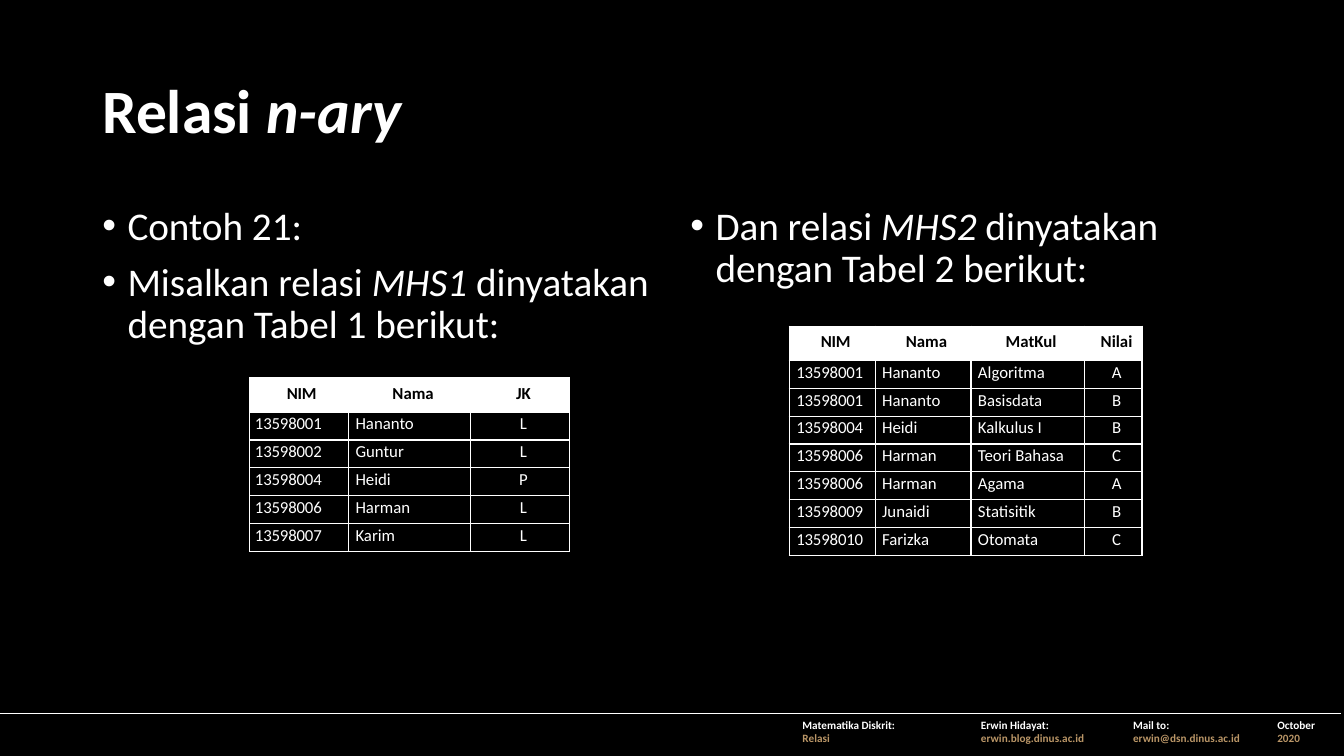
import pptx
import pptx.dml.color
import pptx.enum.text
import pptx.oxml
import pptx.oxml.ns
import pptx.util

Pt = pptx.util.Pt
CENTER = pptx.enum.text.PP_ALIGN.CENTER
MIDDLE = pptx.enum.text.MSO_ANCHOR.MIDDLE
COLORS = {"black": "000000", "white": "FFFFFF", "gold": "BA9667"}


def add_run(paragraph, text, size, color, bold=False, italic=False):
    run = paragraph.add_run()
    run.text = text
    run.font.name = "Calibri"
    run.font.size = Pt(size)
    run.font.bold = bold
    run.font.italic = italic
    run.font.color.rgb = pptx.dml.color.RGBColor.from_string(COLORS[color])
    return run


def add_grid(left, top, widths, heights, edges):
    """Add an unfilled table with white 1 pt lines on the given cell edges."""
    grid = slide.shapes.add_table(len(heights), len(widths), Pt(left), Pt(top),
                                  Pt(sum(widths)), Pt(sum(heights))).table
    grid.first_row = grid.horz_banding = False
    for column, width in zip(grid.columns, widths):
        column.width = Pt(width)
    for row, height in zip(grid.rows, heights):
        row.height = Pt(height)
    for cell in grid.iter_cells():
        properties = cell._tc.get_or_add_tcPr()
        for edge in "LRTB":
            paint = (f'<a:solidFill><a:srgbClr val="{COLORS["white"]}"/></a:solidFill>'
                     if edge in edges else "<a:noFill/>")
            properties.append(pptx.oxml.parse_xml(
                f'<a:ln{edge} {pptx.oxml.ns.nsdecls("a")} w="12700">{paint}</a:ln{edge}>'))
        cell.fill.background()
    return grid


deck = pptx.Presentation()
deck.slide_width, deck.slide_height = Pt(960), Pt(540)
slide = deck.slides.add_slide(deck.slide_layouts[6])
slide.background.fill.solid()
slide.background.fill.fore_color.rgb = pptx.dml.color.RGBColor.from_string(COLORS["black"])

# Footer
credits = [
    ("Matematika Diskrit:", "Relasi"),
    ("Erwin Hidayat:", "erwin.blog.dinus.ac.id"),
    ("Mail to:", "erwin@dsn.dinus.ac.id"),
    ("October", "2020"),
]
footer = add_grid(0, 509.5, [566, 127.5, 108.7, 103, 52.8], [29.5], "T")
footer.cell(0, 0).text_frame.paragraphs[0].font.size = Pt(8)
for column, (label, detail) in enumerate(credits, start=1):
    frame = footer.cell(0, column).text_frame
    add_run(frame.paragraphs[0], label, 8, "white", bold=True)
    add_run(frame.add_paragraph(), detail, 8, "gold", bold=True)

# Title
title = slide.shapes.add_textbox(Pt(66), Pt(28.75), Pt(828), Pt(104.4)).text_frame
title.word_wrap = True
title.vertical_anchor = MIDDLE
title.paragraphs[0].line_spacing = 0.9
add_run(title.paragraphs[0], "Relasi ", 44, "white", bold=True)
add_run(title.paragraphs[0], "n-ary", 44, "white", bold=True, italic=True)

# Bulleted columns: each bullet is a list of (text, italic) runs
columns = [
    (66, [[("Contoh 21:", False)],
          [("Misalkan relasi ", False), ("MHS1 ", True),
           ("dinyatakan dengan Tabel 1 berikut:", False)]]),
    (486, [[("Dan relasi ", False), ("MHS2 ", True),
            ("dinyatakan dengan Tabel 2 berikut:", False)]]),
]
for left, bullets in columns:
    body = slide.shapes.add_textbox(Pt(left), Pt(143.75), Pt(408), Pt(342.6)).text_frame
    body.word_wrap = True
    for index, runs in enumerate(bullets):
        bullet = body.add_paragraph() if index else body.paragraphs[0]
        properties = bullet._p.get_or_add_pPr()
        properties.set("marL", str(Pt(18)))
        properties.set("indent", str(-Pt(18)))
        for tag in ('buFont {} typeface="Arial"', 'buChar {} char="•"'):
            properties.append(pptx.oxml.parse_xml(
                "<a:" + tag.format(pptx.oxml.ns.nsdecls("a")) + "/>"))
        bullet.line_spacing = 0.9
        bullet.space_before = Pt(10 if index else 0)
        for text, italic in runs:
            add_run(bullet, text, 28, "white", italic=italic)

# Relations: left, top, column widths, indent of first column, rows
relations = [
    (563.8, 233.1, [61.3, 68.5, 80.9, 41.3], 5, [
        ("NIM", "Nama", "MatKul", "Nilai"),
        ("13598001", "Hananto", "Algoritma", "A"),
        ("13598001", "Hananto", "Basisdata", "B"),
        ("13598004", "Heidi", "Kalkulus I", "B"),
        ("13598006", "Harman", "Teori Bahasa", "C"),
        ("13598006", "Harman", "Agama", "A"),
        ("13598009", "Junaidi", "Statisitik", "B"),
        ("13598010", "Farizka", "Otomata", "C"),
    ]),
    (178.5, 270, [70.5, 87.2, 70.5], 3.6, [
        ("NIM", "Nama", "JK"),
        ("13598001", "Hananto", "L"),
        ("13598002", "Guntur", "L"),
        ("13598004", "Heidi", "P"),
        ("13598006", "Harman", "L"),
        ("13598007", "Karim", "L"),
    ]),
]
for left, top, widths, first_indent, records in relations:
    heights = [24.4] + [19.9] * (len(records) - 1)
    relation = add_grid(left, top, widths, heights, "LRTB")
    for row, record in enumerate(records):
        header = row == 0
        for column, text in enumerate(record):
            cell = relation.cell(row, column)
            cell.margin_left = cell.margin_right = cell.margin_top = cell.margin_bottom = 0
            cell.vertical_anchor = MIDDLE
            if header:
                cell.fill.solid()
                cell.fill.fore_color.rgb = pptx.dml.color.RGBColor.from_string(COLORS["white"])
            entry = cell.text_frame.paragraphs[0]
            entry.line_spacing = Pt(12.2 if header else 11.9)
            indent = 5 if column else first_indent
            entry._p.get_or_add_pPr().set("marL", str(Pt(indent)))
            if header or column == len(record) - 1:
                entry.alignment = CENTER
            run = add_run(entry, text, 12, "black" if header else "white", bold=header)
            if column == 0:
                run._r.get_or_add_rPr().set("spc", "-10")

deck.save("out.pptx")
